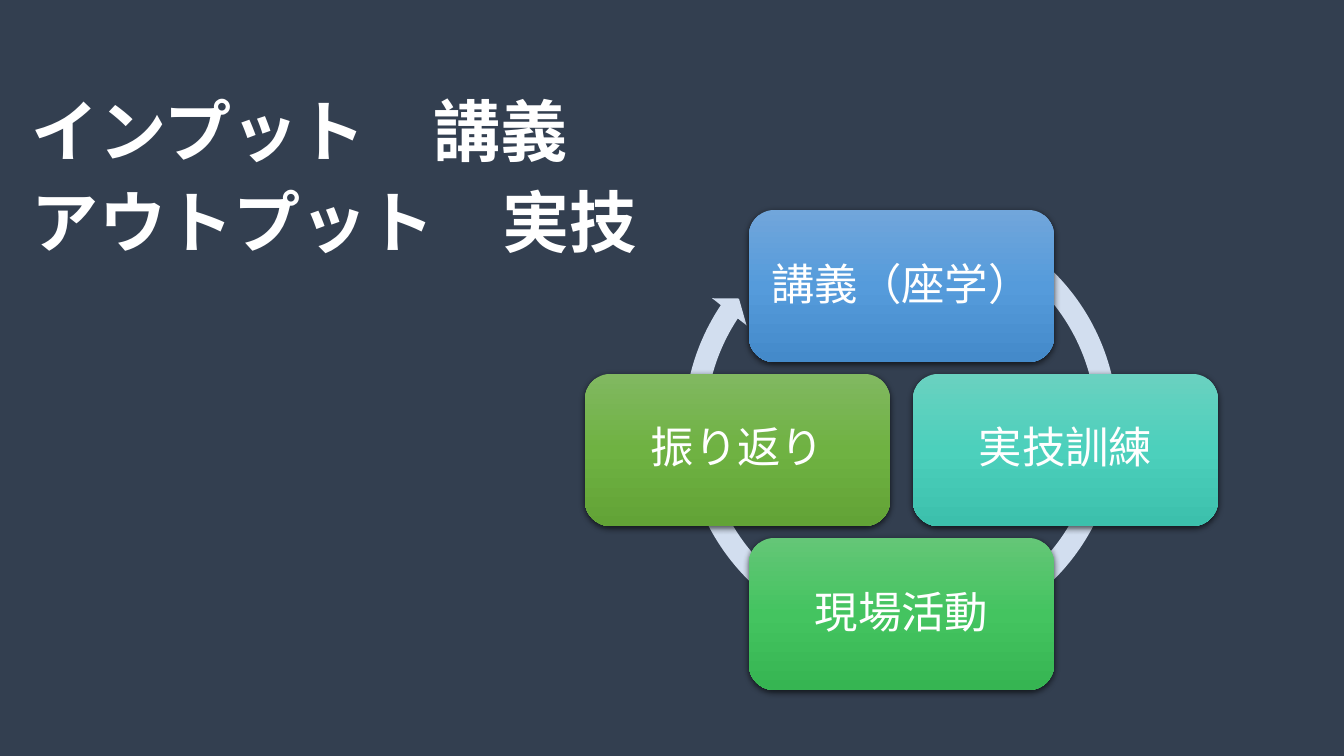
from copy import deepcopy

from lxml import etree
from pptx import Presentation
from pptx.dml.color import RGBColor
from pptx.enum.shapes import MSO_SHAPE
from pptx.enum.text import MSO_ANCHOR, PP_ALIGN
from pptx.oxml.ns import qn
from pptx.util import Emu, Pt

ROUND_RECT = MSO_SHAPE.ROUNDED_RECTANGLE
CIRCULAR_ARROW = MSO_SHAPE.CIRCULAR_ARROW
TOP, MIDDLE = MSO_ANCHOR.TOP, MSO_ANCHOR.MIDDLE
LEFT, CENTER = PP_ALIGN.LEFT, PP_ALIGN.CENTER

NAVY = RGBColor(0x33, 0x3F, 0x50)
WHITE = RGBColor(0xFF, 0xFF, 0xFF)
PALE_BLUE = RGBColor(0xD2, 0xDE, 0xEF)
BLUE = [RGBColor(0x71, 0xA6, 0xDB), RGBColor(0x55, 0x9B, 0xDB), RGBColor(0x44, 0x8A, 0xCA)]
TEAL = [RGBColor(0x6A, 0xD1, 0xC0), RGBColor(0x4C, 0xD0, 0xBC), RGBColor(0x3C, 0xC0, 0xAC)]
GREEN = [RGBColor(0x64, 0xC6, 0x77), RGBColor(0x44, 0xC4, 0x60), RGBColor(0x36, 0xB5, 0x52)]
OLIVE = [RGBColor(0x81, 0xB8, 0x61), RGBColor(0x6F, 0xB2, 0x42), RGBColor(0x62, 0xA3, 0x36)]


def px(n):
    return Emu(round(n * 914400 / 100.8))


class Deck:
    font = "Noto Sans CJK JP"

    def __init__(self, width, height):
        self.prs = Presentation()
        self.prs.slide_width, self.prs.slide_height = px(width), px(height)

    def slide(self, color):
        self.s = self.prs.slides.add_slide(self.prs.slide_layouts[6])
        fill = self.s.background.fill
        fill.solid()
        fill.fore_color.rgb = color

    def put_text(self, sp, lines, frame, para, font):
        """Fill a shape with paragraphs in one format."""
        tf = sp.text_frame
        for name, value in frame.items():
            setattr(tf, name, value)
        for i, line in enumerate(lines):
            p = tf.paragraphs[0] if i == 0 else tf.add_paragraph()
            for name, value in para.items():
                setattr(p, name, value)
            r = p.add_run()
            r.text = line
            for name, value in {"name": self.font, **font}.items():
                setattr(r.font, name, value)
            r.font.color.rgb = WHITE
            ea = etree.SubElement(r.font._element, qn("a:ea"))
            ea.set("typeface", self.font)

    def heading(self, x, y, w, h, lines):
        sp = self.s.shapes.add_textbox(px(x), px(y), px(w), px(h))
        self.put_text(sp, lines,
                      {"word_wrap": True, "vertical_anchor": TOP, "margin_top": 0},
                      {"alignment": LEFT, "line_spacing": 1.03, "space_after": Pt(6)},
                      {"size": Pt(48), "bold": True})

    def shape(self, kind, x, y, w, h):
        sp = self.s.shapes.add_shape(kind, px(x), px(y), px(w), px(h))
        sp.shadow.inherit = False
        sp.line.fill.background()
        return sp

    def ring(self, x, y, size, color, adjustments):
        sp = self.shape(CIRCULAR_ARROW, x, y, size, size)
        sp.fill.solid()
        sp.fill.fore_color.rgb = color
        for i, value in enumerate(adjustments):
            sp.adjustments[i] = value

    def gradient(self, sp, colors):
        """Spread the colours evenly from top to bottom."""
        sp.fill.gradient()
        sp.fill.gradient_angle = 270
        stops = sp._element.spPr.find(".//" + qn("a:gsLst"))
        while len(stops) < len(colors):
            stops.append(deepcopy(stops[-1]))
        for i, (stop, color) in enumerate(zip(sp.fill.gradient_stops, colors)):
            stop.position = i / (len(colors) - 1)
            stop.color.rgb = color

    def drop_shadow(self, sp):
        effects = sp._element.spPr.find(qn("a:effectLst"))
        shadow = etree.SubElement(effects, qn("a:outerShdw"), blurRad=str(int(Pt(4.5))),
                                  dist=str(int(Pt(1.5))), dir="5400000", algn="ctr",
                                  rotWithShape="0")
        color = etree.SubElement(shadow, qn("a:srgbClr"), val="000000")
        etree.SubElement(color, qn("a:alpha"), val="63000")

    def card(self, x, y, w, h, label, colors):
        sp = self.shape(ROUND_RECT, x, y, w, h)
        self.gradient(sp, colors)
        self.drop_shadow(sp)
        self.put_text(sp, [label],
                      {"word_wrap": True, "vertical_anchor": MIDDLE,
                       "margin_left": px(13), "margin_right": px(13)},
                      {"alignment": CENTER, "line_spacing": 0.9},
                      {"size": Pt(31)})


def main():
    deck = Deck(1344, 756)
    deck.slide(NAVY)

    # Heading
    deck.heading(22, 87, 1159, 254, ["インプット　講義", "アウトプット　実技"])

    # Cycle: ring behind four cards around one centre
    cx, cy, step = 901, 450, 164
    card_w, card_h = 305, 152
    deck.ring(673, 198, 456, PALE_BLUE, [0.047, 2.729, 128.177, 180.402, 0.048])
    cards = [
        ("講義（座学）", BLUE, 0, -1),
        ("実技訓練", TEAL, 1, 0),
        ("現場活動", GREEN, 0, 1),
        ("振り返り", OLIVE, -1, 0),
    ]
    for label, colors, dx, dy in cards:
        deck.card(cx + dx * step - card_w // 2, cy + dy * step - card_h // 2,
                  card_w, card_h, label, colors)

    deck.prs.save("out.pptx")


if __name__ == "__main__":
    main()
